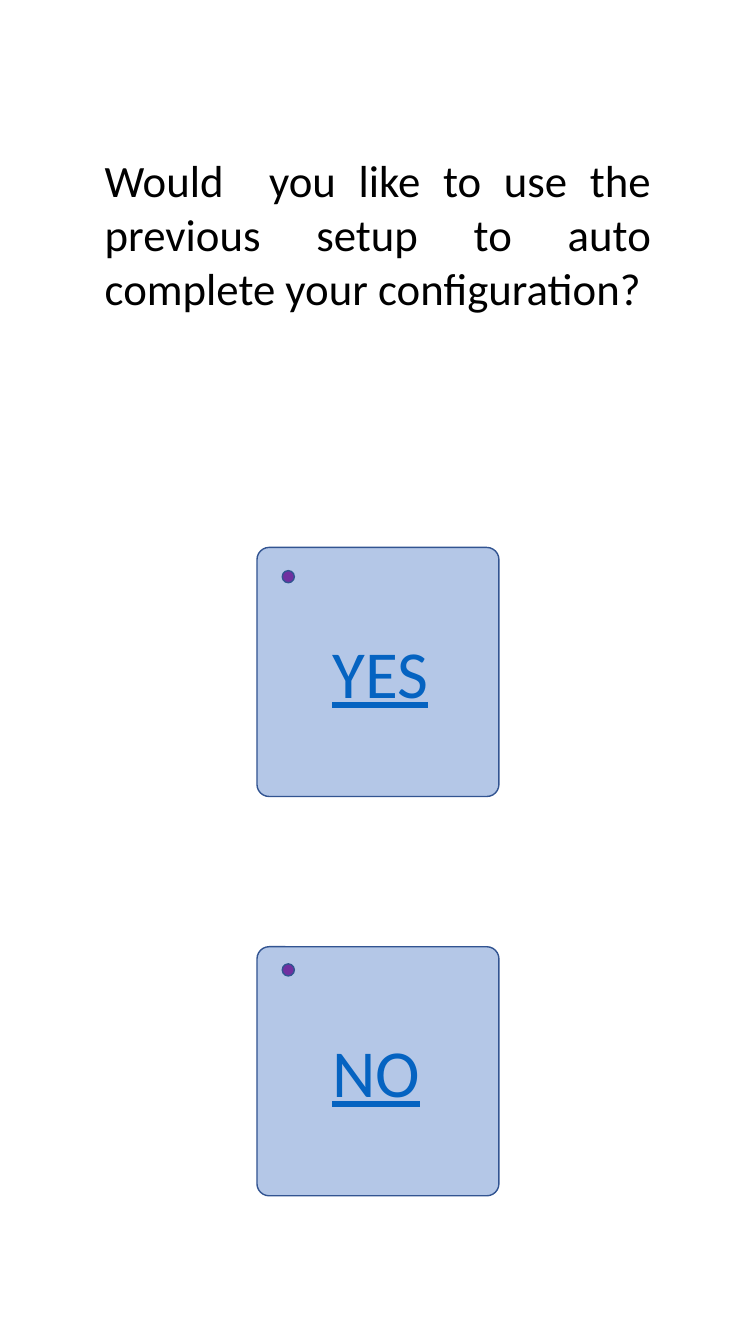
from pptx import Presentation
from pptx.dml.color import RGBColor
from pptx.enum.shapes import MSO_SHAPE
from pptx.enum.text import PP_ALIGN
from pptx.util import Inches, Pt

ROUNDED = MSO_SHAPE.ROUNDED_RECTANGLE
OVAL = MSO_SHAPE.OVAL
JUSTIFY = PP_ALIGN.JUSTIFY
LEFT = PP_ALIGN.LEFT
COLORS = {
    "question": "000000",
    "button": "B4C7E7",
    "outline": "325491",
    "answer": "0563C1",
    "dot": "7030A0",
}

deck = Presentation()
deck.slide_width = Inches(7.5)
deck.slide_height = Inches(13.33)
page = deck.slides.add_slide(deck.slide_layouts[6])


def add_text(area, text, size, color, align, underline=False):
    """Add a wrapped line of text in the area (left, top, width, height)."""
    box = page.shapes.add_textbox(*map(Inches, area))
    box.text_frame.word_wrap = True
    para = box.text_frame.paragraphs[0]
    para.text = text
    para.alignment = align
    span = para.runs[0]
    span.font.name = "Calibri"
    span.font.size = Pt(size)
    span.font.underline = underline
    span.font.color.rgb = RGBColor.from_string(COLORS[color])


def add_figure(kind, area, fill):
    """Add a filled, thinly outlined shape in the area and return it."""
    shape = page.shapes.add_shape(kind, *map(Inches, area))
    shape.shadow.inherit = False
    shape.fill.solid()
    shape.fill.fore_color.rgb = RGBColor.from_string(COLORS[fill])
    shape.line.color.rgb = RGBColor.from_string(COLORS["outline"])
    shape.line.width = Pt(1)
    return shape


add_text((0.94, 1.47, 5.62, 1.72),
         "Would  you like to use the previous setup to auto complete your configuration?",
         32, "question", JUSTIFY)

button_left, first_top, row_step = 2.55, 5.43, 3.96
for row, (answer, dot_drop) in enumerate([("YES", 0.23), ("NO", 0.17)]):
    top = first_top + row * row_step
    button = add_figure(ROUNDED, (button_left, top, 2.4, 2.47), "button")
    button.adjustments[0] = 0.05
    add_text((button_left + 0.65, top + 0.78, 1.28, 0.91),
             answer, 48, "answer", LEFT, underline=True)
    add_figure(OVAL, (button_left + 0.25, top + dot_drop, 0.12, 0.12), "dot")

deck.save("out.pptx")
